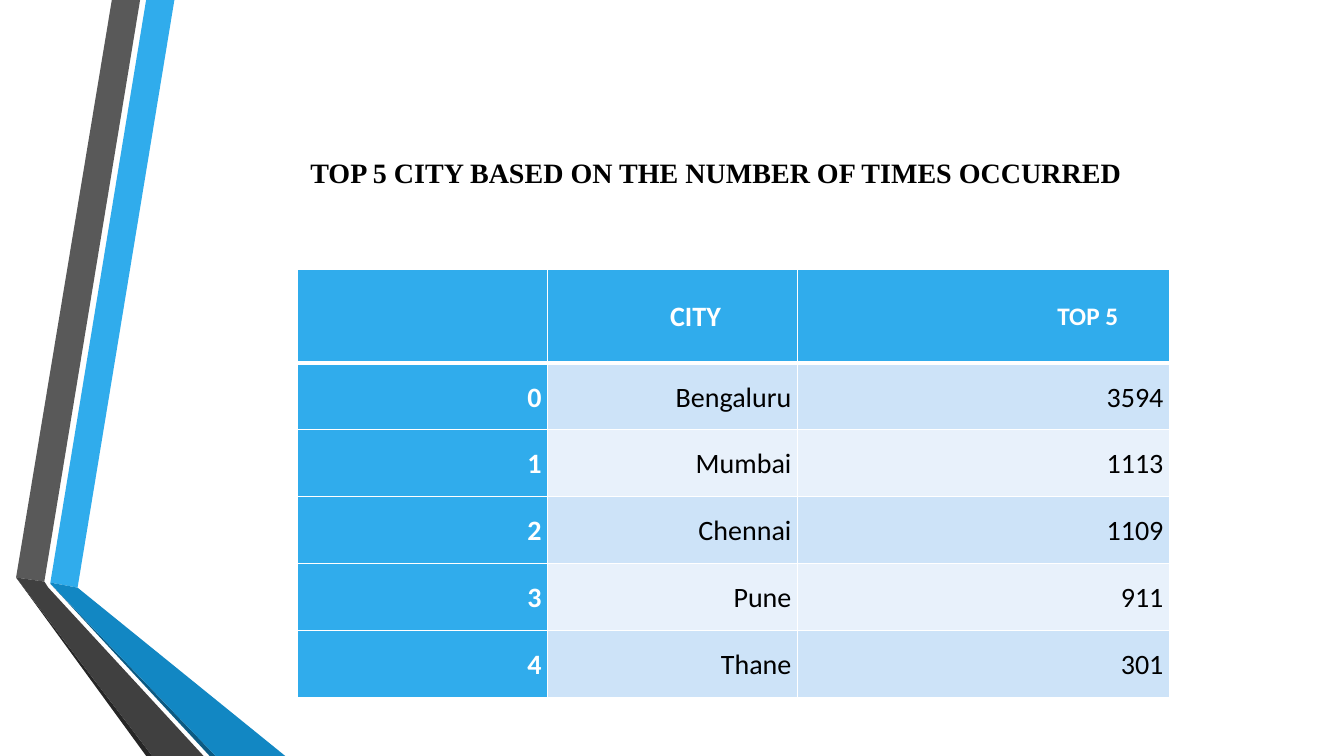
from dataclasses import dataclass

from lxml import etree
from pptx import Presentation
from pptx import util as u
from pptx.dml.color import RGBColor
from pptx.enum import text
from pptx.oxml import ns

Inches = u.Inches
RIGHT = text.PP_ALIGN.RIGHT
MIDDLE = text.MSO_ANCHOR.MIDDLE


@dataclass(frozen=True)
class Theme:
    """Colours, fonts and type sizes of the slide."""
    blue: str = "30ACEC"
    mid_blue: str = "1287C3"
    deep_blue: str = "0C5A82"
    grey: str = "595959"
    dark_grey: str = "404040"
    near_black: str = "262626"
    bands: tuple = ("CDE3F8", "E8F1FB")
    white: str = "FFFFFF"
    black: str = "000000"
    title_font: str = "Times New Roman"
    body_font: str = "Calibri"
    size: int = 20
    small: int = 18


class Deck:
    """Holds the theme and the current slide, and draws elements on it."""

    def __init__(self, prs, theme):
        """Add a blank slide to the presentation."""
        self.theme = theme
        self.s = prs.slides.add_slide(prs.slide_layouts[6])

    @staticmethod
    def apply(target, values):
        """Set attributes from a dict of format values."""
        for name, value in values.items():
            setattr(target, name, value)

    @staticmethod
    def paint(fill, color):
        """Make a fill solid in one colour."""
        fill.solid()
        fill.fore_color.rgb = RGBColor.from_string(color)

    def add_text(self, tf, words, color, font, size, bold, **para):
        """Put one formatted paragraph into a text frame."""
        p = tf.paragraphs[0]
        self.apply(p, para)
        r = p.add_run()
        r.text = words
        self.apply(r.font, dict(name=font, size=u.Pt(size), bold=bold))
        r.font.color.rgb = RGBColor.from_string(color)

    def polygon(self, points, color):
        """Draw a closed, filled outline without a line."""
        points = [(Inches(x), Inches(y)) for x, y in points]
        builder = self.s.shapes.build_freeform(*points[0], scale=1.0)
        builder.add_line_segments(points[1:], close=True)
        sp = builder.convert_to_shape()
        sp.shadow.inherit = False
        self.paint(sp.fill, color)
        sp.line.fill.background()

    def title(self, words, left, top, width, height):
        """Add the centred slide title."""
        t = self.theme
        box = (Inches(v) for v in (left, top, width, height))
        tf = self.s.shapes.add_textbox(*box).text_frame
        self.apply(tf, dict(word_wrap=True, vertical_anchor=MIDDLE))
        self.add_text(tf, words, t.black, t.title_font, t.size, True,
                      alignment=text.PP_ALIGN.CENTER)

    def borders(self, cell, **widths):
        """Give a cell white borders of the given widths in points."""
        tc_pr = cell._tc.get_or_add_tcPr()
        for i, (side, width) in enumerate(widths.items()):
            ln = etree.Element(ns.qn(f"a:ln{side}"), w=str(u.Pt(width)))
            fill = etree.SubElement(ln, ns.qn("a:solidFill"))
            etree.SubElement(fill, ns.qn("a:srgbClr"), val=self.theme.white)
            tc_pr.insert(i, ln)

    def cell(self, cell, words, fill, color, size, bold, inset, bottom, top):
        """Fill, frame and label one right-aligned table cell."""
        self.paint(cell.fill, fill)
        self.borders(cell, L=1, R=1, T=top, B=bottom)
        self.apply(cell, dict(vertical_anchor=MIDDLE,
                              margin_left=Inches(0.06),
                              margin_right=Inches(inset),
                              margin_top=Inches(0.06),
                              margin_bottom=Inches(0.06)))
        if words:
            self.add_text(cell.text_frame, words, color, self.theme.body_font,
                          size, bold, alignment=RIGHT, line_spacing=1.07,
                          space_before=u.Pt(9))

    def table(self, rows, left, top, widths, head, row, sizes, insets):
        """Add a table with a header row, an index column and banded rows."""
        t = self.theme
        heights = [head] + [row] * (len(rows) - 1)
        frame = self.s.shapes.add_table(
            len(rows), len(widths), Inches(left), Inches(top),
            Inches(sum(widths)), Inches(sum(heights)))
        table = frame.table
        for column, width in zip(table.columns, widths):
            column.width = Inches(width)
        for i, (line, height) in enumerate(zip(rows, heights)):
            table.rows[i].height = Inches(height)
            for j, words in enumerate(line):
                strong = i == 0 or j == 0
                self.cell(table.cell(i, j), words,
                          fill=t.blue if strong else t.bands[(i - 1) % 2],
                          color=t.white if strong else t.black,
                          size=t.size if i else sizes[j], bold=strong,
                          inset=0.06 if i else insets[j],
                          bottom=1 if i else 3, top=3 if i == 1 else 1)


THEME = Theme()
RIBBONS = [
    (THEME.blue, [(0.5, 5.78), (0.77, 5.83), (1.73, 0), (1.45, 0)]),
    (THEME.grey, [(1.39, 0), (1.11, 0), (0.16, 5.73), (0.44, 5.77)]),
    (THEME.near_black, [(0.16, 5.73), (1.45, 7.5), (1.51, 7.5)]),
    (THEME.deep_blue, [(0.5, 5.79), (2.08, 7.5), (2.14, 7.5)]),
    (THEME.mid_blue, [(0.5, 5.78), (0.5, 5.79), (2.14, 7.5), (2.83, 7.5),
                      (0.77, 5.83)]),
    (THEME.dark_grey, [(2.02, 7.5), (0.48, 5.83), (0.44, 5.77),
                       (0.16, 5.73), (1.51, 7.5)]),
]
CITIES = [("Bengaluru", 3594), ("Mumbai", 1113), ("Chennai", 1109),
          ("Pune", 911), ("Thane", 301)]


def main():
    """Build the slide and save it."""
    prs = Presentation()
    prs.slide_width, prs.slide_height = Inches(13.33), Inches(7.5)
    deck = Deck(prs, THEME)
    for color, points in RIBBONS:
        deck.polygon(points, color)
    deck.title("TOP 5 CITY BASED ON THE NUMBER OF TIMES OCCURRED",
               1.62, 0.75, 10.96, 1.92)
    rows = [("", "CITY", "TOP 5")]
    rows += [(str(i), city, str(n)) for i, (city, n) in enumerate(CITIES)]
    head, total = 0.93, 4.25
    deck.table(rows, 2.95, 2.67, widths=(2.48, 2.48, 3.69), head=head,
               row=(total - head) / len(CITIES),
               sizes=(THEME.size, THEME.size, THEME.small),
               insets=(0.06, 0.76, 0.51))
    prs.save("out.pptx")


main()
